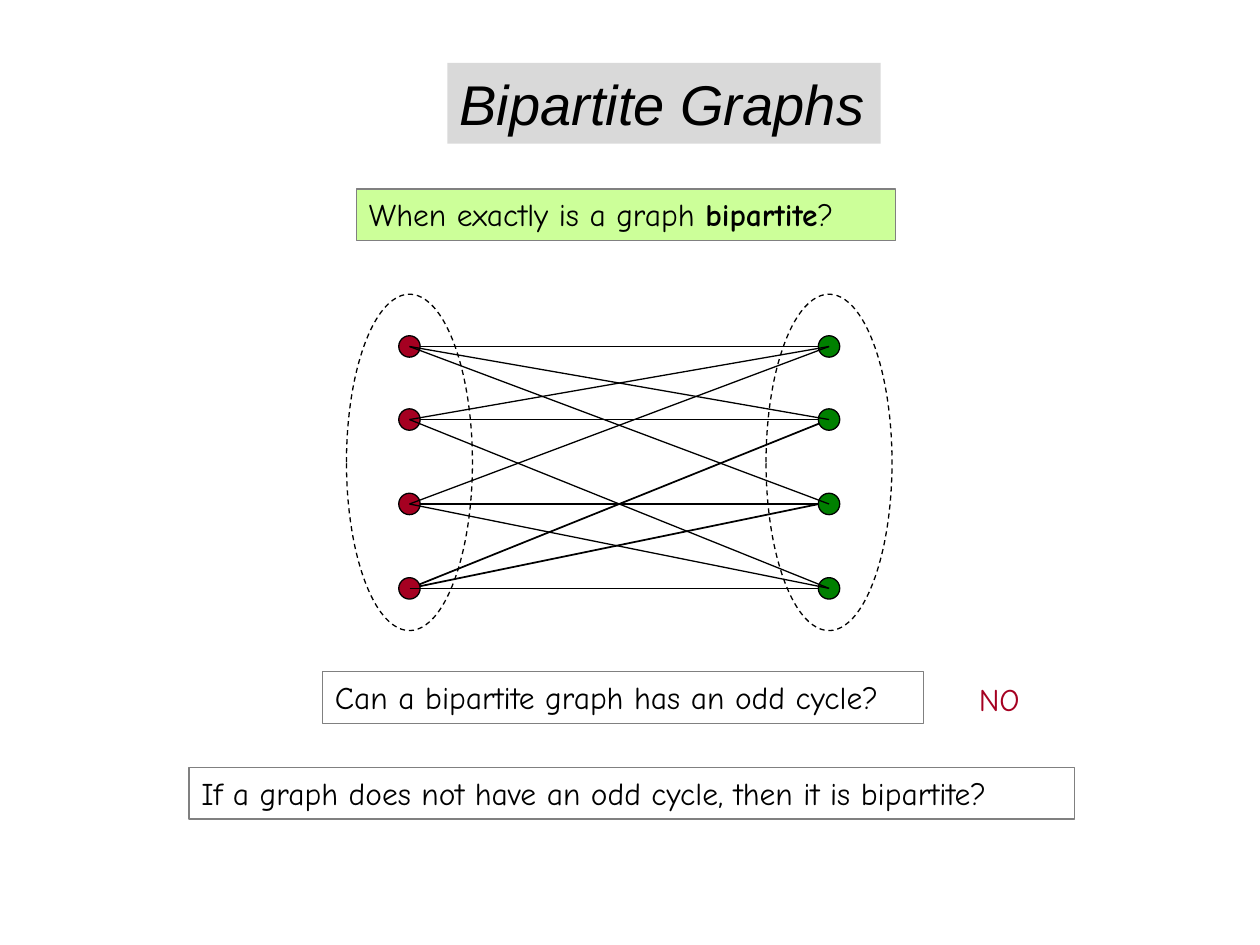
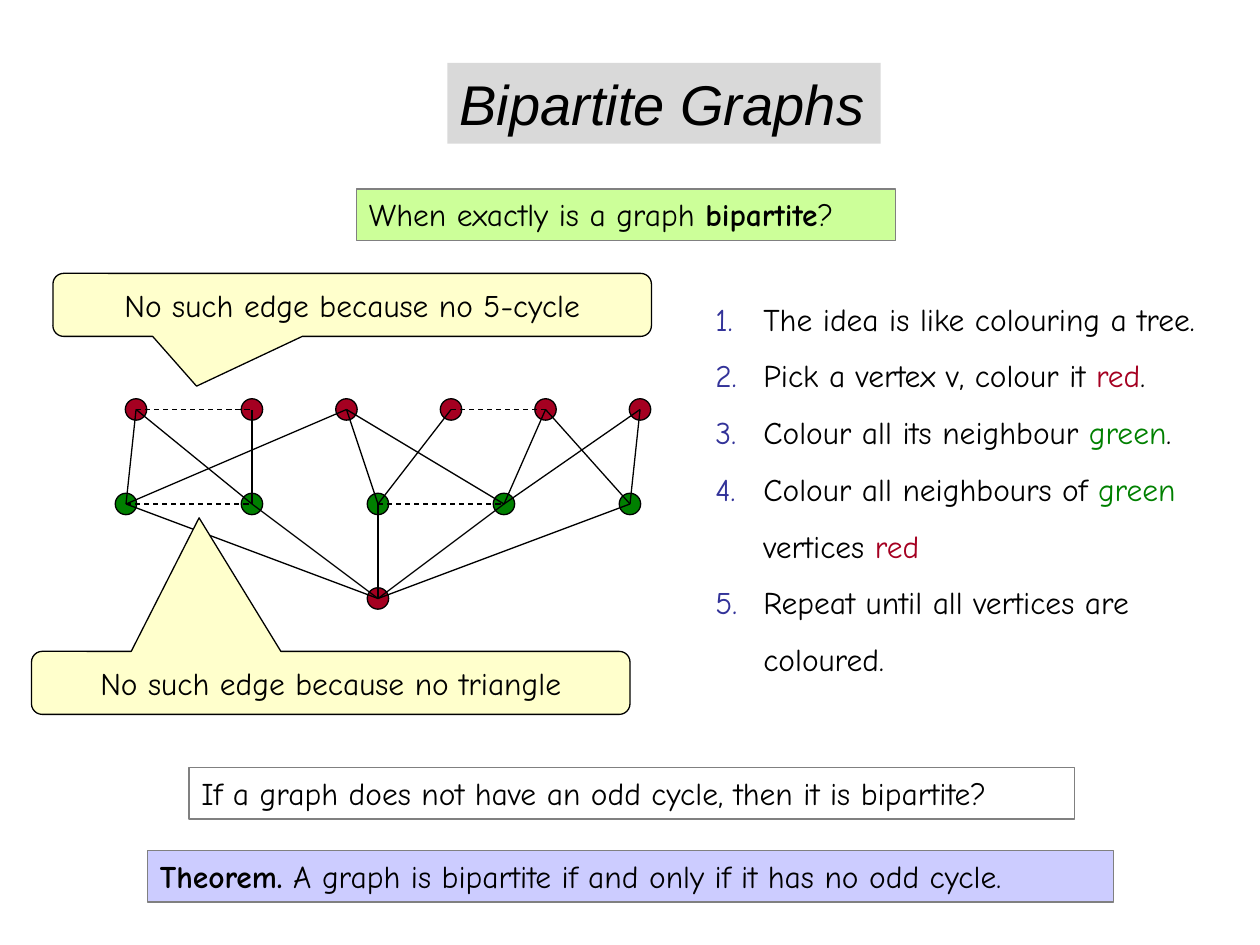
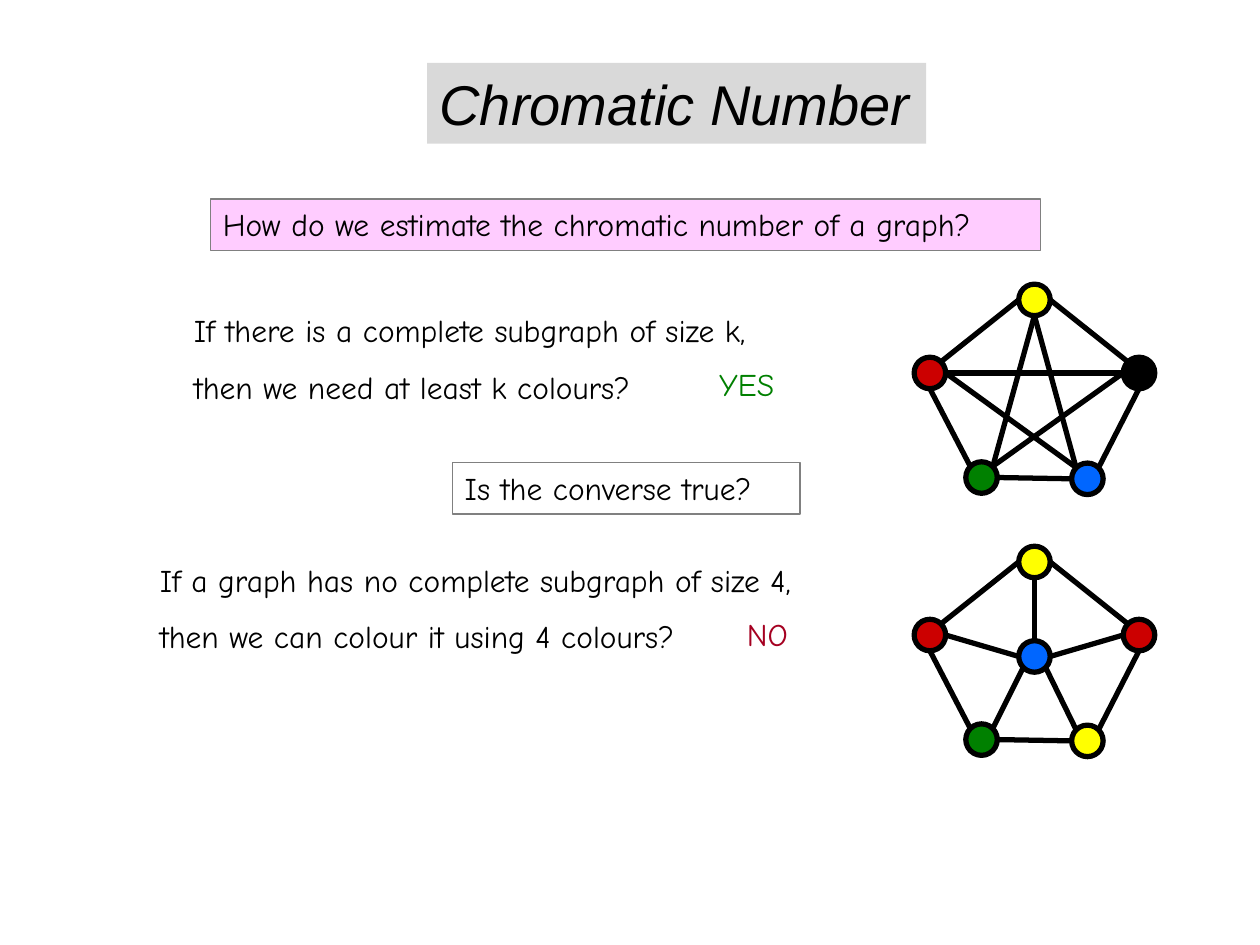
"""Build three slides on bipartite graphs and chromatic numbers."""
from typing import Any, NamedTuple

from lxml import etree
from pptx import Presentation, util as u
from pptx.dml.color import RGBColor
from pptx.enum import dml, shapes, text
from pptx.oxml import ns

BLACK, GREY, TITLE_BAND = "000000", "808080", "D9D9D9"
RED, GREEN, NUMBER_BLUE = "A50021", "008000", "333399"
LIME, CREAM, LILAC, PINK = "CCFF99", "FFFFCC", "CCCCFF", "FFCCFF"
BRIGHT_RED, YELLOW, BRIGHT_BLUE = "CC0000", "FFFF00", "0066FF"

BODY = {"name": "Comic Neue", "size": u.Pt(18)}
TITLE = {"name": "Arial", "size": u.Pt(32), "italic": True}
FRAME = {
    "word_wrap": False,
    "auto_size": text.MSO_AUTO_SIZE.SHAPE_TO_FIT_TEXT,
    "vertical_anchor": text.MSO_ANCHOR.TOP,
}


class Point(NamedTuple):
    """A place on the slide in inches."""
    x: float
    y: float


class Span(NamedTuple):
    """A stretch of text with its look."""
    words: str
    color: str = BLACK
    bold: bool = False


class Box(NamedTuple):
    """A text box with an optional band and outline."""
    left: float
    top: float
    width: float
    height: float
    paragraphs: list[list[Span]]
    fill: str | None = None
    outline: str | None = GREY
    font: dict[str, Any] = BODY
    wrap: bool = False


class Callout(NamedTuple):
    """A speech bubble with its pointer adjustments."""
    left: float
    top: float
    words: str
    pointer: tuple[float, float, float]


class Match(NamedTuple):
    """An edge from a left row to a right row."""
    left: int
    right: int
    reach: float = 6.58


class Link(NamedTuple):
    """An edge between compass sites of two vertices."""
    start: str
    start_site: str
    end: str
    end_site: str


def rgb(code: str) -> RGBColor:
    """Return the colour of a hex string."""
    return RGBColor.from_string(code)


def assign(target: Any, values: dict[str, Any]) -> None:
    """Set each attribute of the target."""
    for key, value in values.items():
        setattr(target, key, value)


def paint(shape: Any, fill: str | None, outline: str | None,
          width: float = 0.75, dashed: bool = False) -> None:
    """Give a shape its fill and outline."""
    if fill:
        shape.fill.solid()
        shape.fill.fore_color.rgb = rgb(fill)
    else:
        shape.fill.background()
    if outline:
        style_line(shape.line, outline, width, dashed)
    else:
        shape.line.fill.background()


def style_line(line: Any, color: str, width: float, dashed: bool) -> None:
    """Format a line."""
    line.color.rgb = rgb(color)
    line.width = u.Pt(width)
    if dashed:
        line.dash_style = dml.MSO_LINE.DASH


def write(paragraph: Any, spans: list[Span], font: dict[str, Any]) -> None:
    """Add the spans to a paragraph."""
    for span in spans:
        run = paragraph.add_run()
        run.text = span.words
        assign(run.font, font | {"bold": span.bold})
        run.font.color.rgb = rgb(span.color)


def draw_box(slide: Any, box: Box) -> Any:
    """Draw a text box and return its text frame."""
    area = slide.shapes.add_textbox(*map(u.Inches, box[:4]))
    paint(area, box.fill, box.outline)
    frame = area.text_frame
    assign(frame, FRAME | {"word_wrap": box.wrap})
    for index, spans in enumerate(box.paragraphs):
        paragraph = frame.add_paragraph() if index else frame.paragraphs[0]
        if index:
            paragraph.line_spacing = 1.5
        write(paragraph, spans, box.font)
    return frame


def draw_title(slide: Any, words: str, left: float, width: float) -> None:
    """Draw the slide title on its band."""
    draw_box(slide, Box(left, 0.5, width, 0.64, [[Span(words)]], TITLE_BAND, None, TITLE))


def draw_ellipse(canvas: Any, center: Point, width: float, height: float, fill: str | None,
                 weight: float = 0.75, dashed: bool = False) -> None:
    """Draw an ellipse around a centre."""
    oval = canvas.add_shape(
        shapes.MSO_SHAPE.OVAL, u.Inches(center.x - width / 2), u.Inches(center.y - height / 2),
        u.Inches(width), u.Inches(height))
    oval.shadow.inherit = False
    paint(oval, fill, BLACK, weight, dashed)


def draw_vertices(canvas: Any, centers: list[Point], fill: str) -> None:
    """Draw small vertices of one colour."""
    for center in centers:
        draw_ellipse(canvas, center, 0.17, 0.17, fill)


def draw_edge(canvas: Any, start: Point, end: Point, weight: float = 0.75,
              dashed: bool = False) -> None:
    """Draw a straight edge."""
    edge = canvas.add_connector(shapes.MSO_CONNECTOR.STRAIGHT, *map(u.Inches, (*start, *end)))
    style_line(edge.line, BLACK, weight, dashed)
    etree.SubElement(edge._element.spPr, ns.qn("a:effectLst"))


def draw_callout(slide: Any, callout: Callout) -> None:
    """Draw a speech bubble."""
    bubble = slide.shapes.add_shape(
        shapes.MSO_SHAPE.ROUNDED_RECTANGULAR_CALLOUT,
        *map(u.Inches, (callout.left, callout.top, 4.75, 0.5)))
    bubble.shadow.inherit = False
    paint(bubble, CREAM, BLACK)
    for index, value in enumerate(callout.pointer):
        bubble.adjustments[index] = value
    paragraph = bubble.text_frame.paragraphs[0]
    paragraph.alignment = text.PP_ALIGN.CENTER
    write(paragraph, [Span(callout.words)], BODY)


def number(frame: Any) -> None:
    """Number the paragraphs with a hanging indent."""
    for paragraph in frame.paragraphs:
        props = paragraph._p.get_or_add_pPr()
        indent = u.Inches(0.38)
        props.set("marL", str(indent))
        props.set("indent", str(-indent))
        color = etree.SubElement(props, ns.qn("a:buClr"))
        etree.SubElement(color, ns.qn("a:srgbClr"), val=NUMBER_BLUE)
        etree.SubElement(props, ns.qn("a:buAutoNum"), type="arabicPeriod")


QUESTION = Box(2.83, 1.5, 4.28, 0.41, [[
    Span("When exactly is a graph "), Span("bipartite", bold=True), Span("?")]], LIME)
CONVERSE = Box(1.5, 6.09, 7.03, 0.41, [[
    Span("If a graph does not have an odd cycle, then it is bipartite?")]])

ROWS = [2.75, 3.33, 4, 4.67]
LEFT_X, RIGHT_X = 3.25, 6.58
EDGES_BEHIND = [Match(0, 0), Match(1, 1), Match(3, 1), Match(2, 2, 6.5), Match(3, 2, 6.5)]
EDGES_IN_FRONT = [Match(0, 1), Match(0, 2), Match(1, 0), Match(1, 3),
                  Match(2, 0), Match(2, 3), Match(3, 3, 6.5)]

ROOT = Point(3, 4.75)
CHILDREN = [Point(x, 4) for x in range(1, 6)]
GRANDCHILDREN = [Point(x, 3.25) for x in (1.08, 2, 2.75, 3.58, 4.33, 5.08)]
FAMILY = [(0, 0), (1, 0), (0, 2), (1, 1), (2, 2), (2, 3), (3, 4), (3, 2), (4, 4), (4, 5), (3, 5)]
TRIANGLE = Callout(0.25, 5.17, "No such edge because no triangle", (-0.22, -2.62, 0.17))
FIVE_CYCLE = Callout(0.42, 2.17, "No such edge because no 5-cycle", (-0.26, 1.29, 0.17))
STEPS = Box(5.58, 2.33, 4.17, 3.41, [
    [Span("The idea is like colouring a tree.")],
    [Span("Pick a vertex v, colour it "), Span("red", RED), Span(".")],
    [Span("Colour all its neighbour "), Span("green", GREEN), Span(".")],
    [Span("Colour all neighbours of "), Span("green", GREEN), Span(" vertices "),
     Span("red", RED)],
    [Span("Repeat until all vertices are coloured.")],
], outline=None, wrap=True)
THEOREM = Box(1.17, 6.75, 7.67, 0.41, [[
    Span("Theorem.", bold=True),
    Span(" A graph is bipartite if and only if it has no odd cycle.")]], LILAC)

RADIUS = 0.125
DIAGONAL = 0.09
SITES = {
    "N": Point(0, -RADIUS), "E": Point(RADIUS, 0), "S": Point(0, RADIUS), "W": Point(-RADIUS, 0),
    "NE": Point(DIAGONAL, -DIAGONAL), "SE": Point(DIAGONAL, DIAGONAL),
    "SW": Point(-DIAGONAL, DIAGONAL), "NW": Point(-DIAGONAL, -DIAGONAL),
}
PLACES = {
    "top": Point(8.21, 0), "left": Point(7.38, 0.58), "right": Point(9.04, 0.58),
    "foot left": Point(7.79, 1.41), "foot right": Point(8.63, 1.42), "hub": Point(8.21, 0.75),
}
RIM = [
    Link("foot left", "E", "foot right", "W"), Link("top", "E", "right", "NW"),
    Link("right", "S", "foot right", "NE"), Link("top", "W", "left", "NE"),
    Link("left", "S", "foot left", "NW"),
]
STAR = [
    Link("top", "S", "foot right", "NW"), Link("top", "S", "foot left", "NE"),
    Link("left", "E", "right", "W"), Link("foot right", "NW", "left", "E"),
    Link("foot left", "NE", "right", "W"),
]
SPOKES = [
    Link("top", "S", "hub", "N"), Link("hub", "E", "right", "W"),
    Link("hub", "SE", "foot right", "NW"), Link("hub", "SW", "foot left", "NE"),
    Link("hub", "W", "left", "E"),
]
COMPLETE_COLORS = {"top": YELLOW, "left": BRIGHT_RED, "right": BLACK,
                   "foot left": GREEN, "foot right": BRIGHT_BLUE}
WHEEL_COLORS = {"top": YELLOW, "left": BRIGHT_RED, "right": BRIGHT_RED,
                "foot left": GREEN, "foot right": YELLOW, "hub": BRIGHT_BLUE}
ESTIMATES = [
    Box(1.67, 1.58, 6.59, 0.41, [[
        Span("How do we estimate the chromatic number of a graph?")]], PINK),
    Box(1.44, 2.42, 5.14, 0.85, [
        [Span("If there is a complete subgraph of size k,")],
        [Span("then we need at least k colours?")]], outline=None),
    Box(5.61, 2.85, 0.69, 0.4, [[Span("YES", GREEN)]], outline=None),
    Box(3.59, 3.67, 2.76, 0.41, [[Span("Is the converse true?")]]),
    Box(1.17, 4.4, 5.7, 0.85, [
        [Span("If a graph has no complete subgraph of size 4,")],
        [Span("then we can colour it using 4 colours?")]], outline=None),
    Box(5.83, 4.83, 0.6, 0.4, [[Span("NO", RED)]], outline=None),
]


def draw_matches(canvas: Any, matches: list[Match], weight: float) -> None:
    """Draw edges between the two sides."""
    for match in matches:
        draw_edge(canvas, Point(LEFT_X, ROWS[match.left]),
                  Point(match.reach, ROWS[match.right]), weight)


def draw_pentagon(slide: Any, top: float, colors: dict[str, str], links: list[Link]) -> None:
    """Draw a coloured graph as one group."""
    canvas = slide.shapes.add_group_shape().shapes
    centers = {key: Point(PLACES[key].x, PLACES[key].y + top) for key in colors}
    for key, color in colors.items():
        draw_ellipse(canvas, centers[key], 2 * RADIUS, 2 * RADIUS, color, 3)
    for link in links:
        ends = [Point(centers[key].x + SITES[site].x, centers[key].y + SITES[site].y)
                for key, site in (link[:2], link[2:])]
        draw_edge(canvas, *ends, 3)


def build_two_sides(slide: Any) -> None:
    """Build the slide that shows a bipartite graph."""
    canvas = slide.shapes
    draw_box(slide, QUESTION)
    draw_matches(canvas, EDGES_BEHIND, 1)
    for x, color in ((LEFT_X, RED), (RIGHT_X, GREEN)):
        draw_vertices(canvas, [Point(x, y) for y in ROWS], color)
        draw_ellipse(canvas, Point(x, 3.67), 1, 2.67, None, dashed=True)
    draw_matches(canvas, EDGES_IN_FRONT, 0.75)
    draw_box(slide, Box(2.56, 5.33, 4.77, 0.41, [[
        Span("Can a bipartite graph has an odd cycle?")]]))
    draw_box(slide, CONVERSE)
    draw_box(slide, Box(7.67, 5.35, 0.6, 0.4, [[Span("NO", RED)]], outline=None))
    draw_title(slide, "Bipartite Graphs", 3.55, 3.44)


def build_colouring(slide: Any) -> None:
    """Build the slide that colours a graph like a tree."""
    canvas = slide.shapes
    draw_box(slide, QUESTION)
    draw_box(slide, CONVERSE)
    draw_vertices(canvas, [ROOT], RED)
    draw_vertices(canvas, CHILDREN, GREEN)
    for child in CHILDREN:
        draw_edge(canvas, child, ROOT)
    number(draw_box(slide, STEPS))
    for first in (0, 2):
        draw_edge(canvas, CHILDREN[first], CHILDREN[first + 1], dashed=True)
    draw_callout(slide, TRIANGLE)
    draw_vertices(canvas, GRANDCHILDREN, RED)
    for child, grandchild in FAMILY:
        draw_edge(canvas, CHILDREN[child], GRANDCHILDREN[grandchild])
    for first in (0, 3):
        draw_edge(canvas, GRANDCHILDREN[first], GRANDCHILDREN[first + 1], dashed=True)
    draw_box(slide, THEOREM)
    draw_callout(slide, FIVE_CYCLE)
    draw_title(slide, "Bipartite Graphs", 3.55, 3.44)


def build_chromatic(slide: Any) -> None:
    """Build the slide on the chromatic number."""
    draw_title(slide, "Chromatic Number", 3.39, 3.96)
    for box in ESTIMATES:
        draw_box(slide, box)
    draw_pentagon(slide, 4.46, WHEEL_COLORS, RIM + SPOKES)
    draw_pentagon(slide, 2.38, COMPLETE_COLORS, RIM + STAR)


def main() -> None:
    """Build and save the presentation."""
    deck = Presentation()
    assign(deck, {"slide_width": u.Inches(10), "slide_height": u.Inches(7.5)})
    for build in (build_two_sides, build_colouring, build_chromatic):
        build(deck.slides.add_slide(deck.slide_layouts[6]))
    deck.save("out.pptx")


if __name__ == "__main__":
    main()
